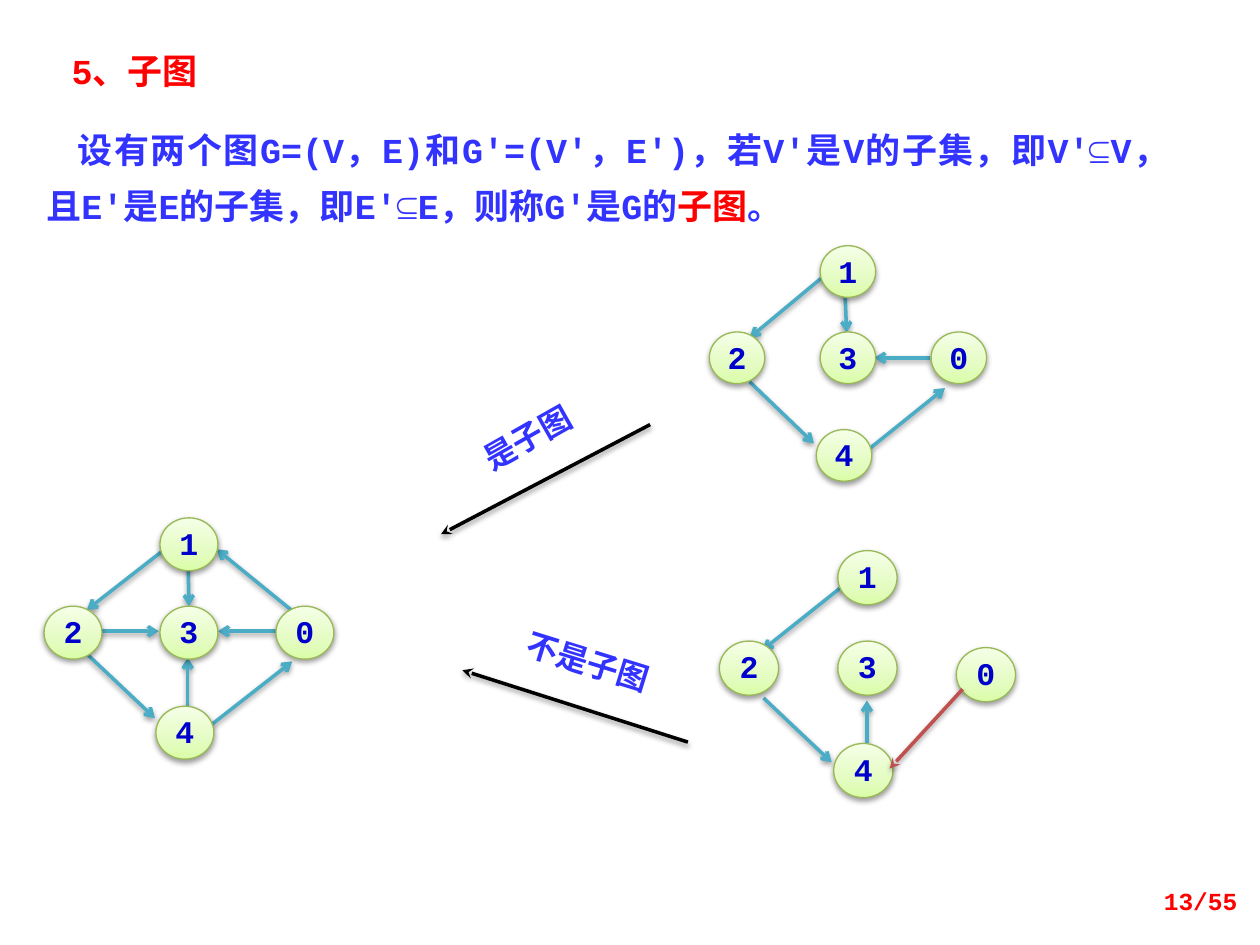
import copy

import pptx
import pptx.dml.color
import pptx.enum.shapes
import pptx.enum.text
import pptx.oxml
import pptx.oxml.ns
import pptx.util

Inches = pptx.util.Inches
Pt = pptx.util.Pt
Align = pptx.enum.text.PP_ALIGN
Anchor = pptx.enum.text.MSO_ANCHOR
qn = pptx.oxml.ns.qn

COURIER, SANS, SANS_JP = "Courier New", "Noto Sans CJK SC", "Noto Sans CJK JP"
BLUE, RED, NAVY, TEAL, BRICK, BLACK = "3333FF", "FF0000", "0000CC", "4BACC6", "C0504D", "000000"
NODE_STOPS = [(0, "DAFDA7"), (0.35, "E4FCC2"), (1, "F5FFE7")]
NODE_CELLS = {"1": (2, 0), "3": (2, 1.67), "0": (4, 1.67), "2": (0, 1.67), "4": (1.93, 3.56)}
SHADOW = (
    f'<a:effectLst {pptx.oxml.ns.nsdecls("a")}>'
    '<a:outerShdw blurRad="40000" dist="20000" dir="5400000" rotWithShape="0">'
    '<a:srgbClr val="000000"><a:alpha val="38000"/></a:srgbClr></a:outerShdw></a:effectLst>'
)


def colour(code):
    return pptx.dml.color.RGBColor.from_string(code)


def apply(target, values):
    for name, value in values.items():
        setattr(target, name, value)


class GraphSlide:
    """Draws text, nodes and arrows in one style on the current slide."""

    def __init__(self, page):
        self.page = page
        self.shapes = page.shapes

    def start_group(self):
        self.shapes = self.page.shapes.add_group_shape().shapes

    def end_group(self):
        self.shapes = self.page.shapes

    def fill_text(self, frame, spans, size, **layout):
        para = frame.paragraphs[0]
        apply(para, layout)
        for text, font, code in spans:
            span = para.add_run()
            span.text = text
            apply(span.font, {"size": Pt(size), "bold": True, "name": font})
            span.font.color.rgb = colour(code)
            east = SANS if font == COURIER else font
            span._r.get_or_add_rPr().append(
                pptx.oxml.parse_xml(f'<a:ea {pptx.oxml.ns.nsdecls("a")} typeface="{east}"/>'))
        return para

    def text(self, place, spans, size, frame_values=None, rotation=0, **layout):
        box = self.shapes.add_textbox(*map(Inches, place))
        box.rotation = rotation
        apply(box.text_frame, {"word_wrap": True, **(frame_values or {})})
        return self.fill_text(box.text_frame, spans, size, **layout)

    def label(self, place, text, rotation):
        insets = dict.fromkeys(("margin_left", "margin_top", "margin_right", "margin_bottom"), 0)
        self.text(place, [(text, SANS, BLUE)], 18, insets, rotation, alignment=Align.CENTER)

    def arrow(self, start, end, code=TEAL, head="arrow"):
        line = self.shapes.add_connector(
            pptx.enum.shapes.MSO_CONNECTOR.STRAIGHT, *map(Inches, (*start, *end)))
        line.line.width = Pt(2)
        line.line.color.rgb = colour(code)
        properties = line._element.spPr
        properties.find(qn("a:ln")).append(
            pptx.oxml.parse_xml(f'<a:tailEnd {pptx.oxml.ns.nsdecls("a")} type="{head}"/>'))
        properties.append(pptx.oxml.parse_xml(SHADOW))

    def node(self, name, place):
        node = self.shapes.add_shape(pptx.enum.shapes.MSO_SHAPE.OVAL, *map(Inches, place))
        node.fill.gradient()
        node.fill.gradient_angle = 90
        stops = node._element.spPr.find(qn("a:gradFill")).find(qn("a:gsLst"))
        stops.append(copy.deepcopy(stops[0]))
        for stop, (position, code) in zip(node.fill.gradient_stops, NODE_STOPS):
            stop.position = position
            stop.color.rgb = colour(code)
        node.line.width = Pt(0.75)
        node.line.color.rgb = colour("98B955")
        node._element.spPr.append(pptx.oxml.parse_xml(SHADOW))
        apply(node.text_frame, {
            "margin_left": 0, "margin_top": Inches(0.12), "margin_right": 0,
            "margin_bottom": 0, "vertical_anchor": Anchor.TOP})
        self.fill_text(node.text_frame, [(name, COURIER, NAVY)], 18,
                       alignment=Align.CENTER, line_spacing=Pt(12))

    def graph(self, left, top, width, height, edges, moved=None):
        self.start_group()
        for start, end in edges:
            self.arrow(start, end)
        for name, (column, row) in {**NODE_CELLS, **(moved or {})}.items():
            self.node(name, (left + column * width, top + row * height, width, height))


def main():
    deck = pptx.Presentation()
    deck.slide_width, deck.slide_height = Inches(10), Inches(7.5)
    slide = GraphSlide(deck.slides.add_slide(deck.slide_layouts[6]))
    grow = {"auto_size": pptx.enum.text.MSO_AUTO_SIZE.SHAPE_TO_FIT_TEXT}

    definition = "设有两个图G=(V，E)和G'=(V'，E')，若V'是V的子集，即V'⊆V，且E'是E的子集，即E'⊆E，则称G'是G的"
    para = slide.text(
        (0.27, 0.86, 9.1, 1),
        [(definition, COURIER, BLUE), ("子图", SANS_JP, RED), ("。", COURIER, BLUE)],
        20, grow, alignment=Align.JUSTIFY, line_spacing=Pt(32))
    para._p.get_or_add_pPr().set("indent", str(Inches(0.25)))

    slide.graph(0.35, 4.11, 0.46, 0.42, [
        ((1.49, 4.34), (1.5, 4.81)), ((1.49, 5.64), (1.49, 5.22)),
        ((2.19, 5.01), (1.73, 5.01)), ((0.8, 5.01), (1.26, 5.01)),
        ((0.7, 5.2), (1.23, 5.7)), ((1.68, 5.75), (2.32, 5.25)),
        ((2.31, 4.84), (1.72, 4.36)), ((1.32, 4.35), (0.69, 4.84))])
    slide.graph(5.63, 1.95, 0.44, 0.41, [
        ((6.7, 2.18), (6.72, 2.64)), ((7.38, 2.84), (6.94, 2.84)),
        ((5.95, 3.03), (6.46, 3.52)), ((6.89, 3.57), (7.5, 3.08)),
        ((6.54, 2.19), (5.95, 2.68))])
    slide.graph(5.71, 4.37, 0.47, 0.43, [
        ((6.88, 5.99), (6.88, 5.56)), ((6.06, 5.54), (6.6, 6.05)),
        ((6.69, 4.65), (6.05, 5.16))], moved={"0": (4, 1.79)})
    slide.arrow((7.64, 5.47), (7.06, 6.1), BRICK, "stealth")

    for start, end, place, verdict, rotation in [
        ((5.16, 3.37), (3.5, 4.24), (3.36, 3.32, 1.65, 0.3), "是子图", 330.4),
        ((5.46, 5.89), (3.67, 5.32), (3.99, 5.1, 1.35, 0.31), "不是子图", 17.2),
    ]:
        slide.start_group()
        slide.arrow(start, end, BLACK, "stealth")
        slide.label(place, verdict, rotation)

    slide.end_group()
    slide.text((0.47, 0.34, 1.48, 0.44), [("5、子图", COURIER, RED)], 20, grow)
    slide.text((7.59, 6.95, 2.33, 0.4), [("13/55", COURIER, RED)], 14,
               {"vertical_anchor": Anchor.MIDDLE}, alignment=Align.RIGHT)
    deck.save("out.pptx")


if __name__ == "__main__":
    main()
